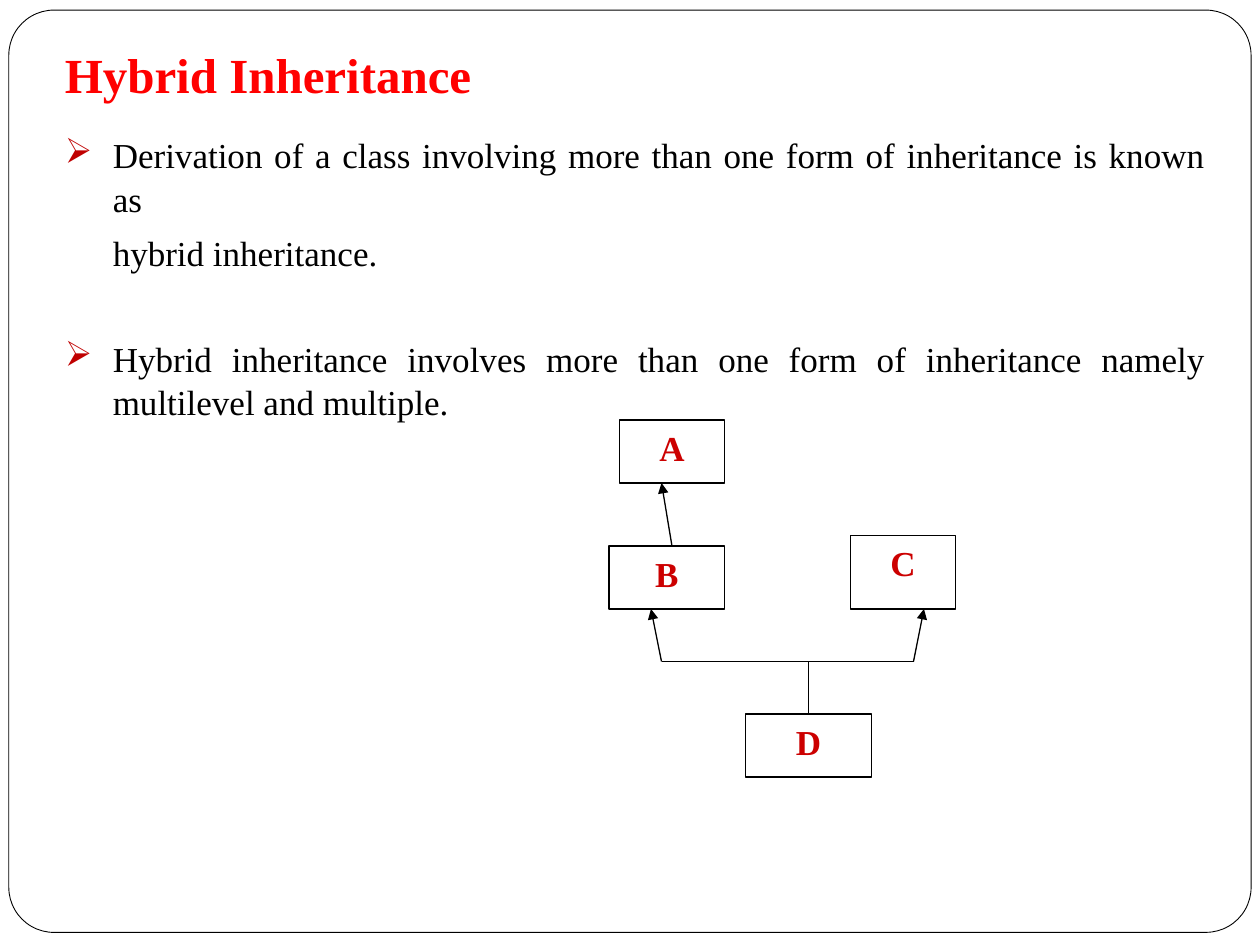
from typing import NamedTuple, Optional

from lxml import etree
from pptx import Presentation
from pptx import util as u
from pptx.dml.color import RGBColor
from pptx.enum import shapes, text
from pptx.oxml.ns import qn

COLORS = {"ink": "000000", "paper": "FFFFFF", "title": "FF0000",
          "bullet": "C00000", "label": "CC0000"}
FONT = "Times New Roman"
WIDE, HIGH = u.Inches(10), u.Inches(7.5)
COLS, ROWS = 120, 90


class Node(NamedTuple):
    name: str
    col: int
    row: int
    cols: int
    rows: int


class Link(NamedTuple):
    start: tuple
    end: tuple
    arrow: bool = False
    foot: Optional[str] = None  # node whose top side the link ends on


class Point(NamedTuple):
    words: str
    before: float
    bullet: bool = True


NODES = [Node("A", 59, 40, 10, 6), Node("B", 58, 52, 11, 6),
         Node("C", 81, 51, 10, 7), Node("D", 71, 68, 12, 6)]
LINKS = [Link((64, 52), (63, 46), arrow=True),
         Link((77, 63), (77, 68), foot="D"),
         Link((63, 63), (87, 63)),
         Link((87, 63), (88, 58), arrow=True),
         Link((63, 63), (62, 58), arrow=True)]
POINTS = [
    Point("Derivation of a class involving more than one form of "
          "inheritance is known as", 5.8),
    Point("hybrid inheritance.", 5.8, bullet=False),
    Point("Hybrid inheritance involves more than one form of inheritance "
          "namely multilevel and multiple.", 35.6)]


def color(key: str) -> RGBColor:
    return RGBColor.from_string(COLORS[key])


def x(col: float) -> int:
    return round(WIDE * col / COLS)


def y(row: float) -> int:
    return round(HIGH * row / ROWS)


def style(para, size: int, key: str, bold: bool = False) -> None:
    font = para.font
    font.name, font.size, font.bold = FONT, u.Pt(size), bold
    font.color.rgb = color(key)


def outline(shape, width: float) -> None:
    shape.line.color.rgb = color("ink")
    shape.line.width = u.Pt(width)


def add_frame(slide) -> None:
    frame = slide.shapes.add_shape(
        shapes.MSO_SHAPE.ROUNDED_RECTANGLE, u.Inches(0.07), u.Inches(0.08),
        u.Inches(9.86), u.Inches(7.32))
    frame.adjustments[0] = 0.049
    frame.shadow.inherit = False
    frame.fill.background()
    outline(frame, 0.5)


def add_box(slide, col: int, row: int, cols: int, rows: int):
    box = slide.shapes.add_textbox(x(col), y(row), x(cols), y(rows))
    box.text_frame.word_wrap = True
    return box.text_frame


def add_title(slide) -> None:
    frame = add_box(slide, 5, 3, 102, 8)
    frame.vertical_anchor = text.MSO_ANCHOR.BOTTOM
    frame.margin_bottom = u.Inches(0.1)
    para = frame.paragraphs[0]
    para.text = "Hybrid Inheritance"
    style(para, 28, "title", bold=True)


def indent(para, bullet: bool) -> None:
    """Indent a paragraph, hanging a coloured arrow if it has a bullet."""
    props = para._p.get_or_add_pPr()
    left = u.Inches(0.38)
    props.set("marL", str(left))
    props.set("indent", str(-left if bullet else 0))
    if bullet:
        tint = etree.Element(qn("a:buClr"))
        etree.SubElement(tint, qn("a:srgbClr"), val=COLORS["bullet"])
        mark = etree.Element(qn("a:buChar"), char="➢")
        rest = props.find(qn("a:defRPr"))
        rest.addprevious(tint)
        rest.addprevious(mark)


def add_points(slide) -> None:
    frame = add_box(slide, 5, 12, 111, 70)
    for i, point in enumerate(POINTS):
        para = frame.add_paragraph() if i else frame.paragraphs[0]
        para.text = point.words
        para.space_before = u.Pt(point.before)
        para.line_spacing = 1.04
        if point.bullet:
            para.alignment = text.PP_ALIGN.JUSTIFY
        style(para, 20, "ink")
        indent(para, point.bullet)


def add_node(slide, node: Node):
    box = slide.shapes.add_shape(
        shapes.MSO_SHAPE.RECTANGLE, x(node.col), y(node.row),
        x(node.cols), y(node.rows))
    box.shadow.inherit = False
    box.fill.solid()
    box.fill.fore_color.rgb = color("paper")
    outline(box, 0.75)
    box.text_frame.vertical_anchor = text.MSO_ANCHOR.TOP
    para = box.text_frame.paragraphs[0]
    para.text = node.name
    para.alignment = text.PP_ALIGN.CENTER
    style(para, 20, "label", bold=True)
    return box


def add_link(slide, link: Link, boxes: dict) -> None:
    (c1, r1), (c2, r2) = link.start, link.end
    line = slide.shapes.add_connector(
        shapes.MSO_CONNECTOR.STRAIGHT, x(c1), y(r1), x(c2), y(r2))
    outline(line, 0.75)
    if link.foot:
        line.end_connect(boxes[link.foot], 0)
    if link.arrow:
        etree.SubElement(line.line._get_or_add_ln(), qn("a:tailEnd"),
                         type="triangle")
    etree.SubElement(line._element.spPr, qn("a:effectLst"))


def main() -> None:
    deck = Presentation()
    deck.slide_width, deck.slide_height = WIDE, HIGH
    slide = deck.slides.add_slide(deck.slide_layouts[6])
    add_frame(slide)
    add_points(slide)
    add_title(slide)
    boxes = {node.name: add_node(slide, node) for node in NODES}
    for link in LINKS:
        add_link(slide, link, boxes)
    deck.save("out.pptx")


if __name__ == "__main__":
    main()
